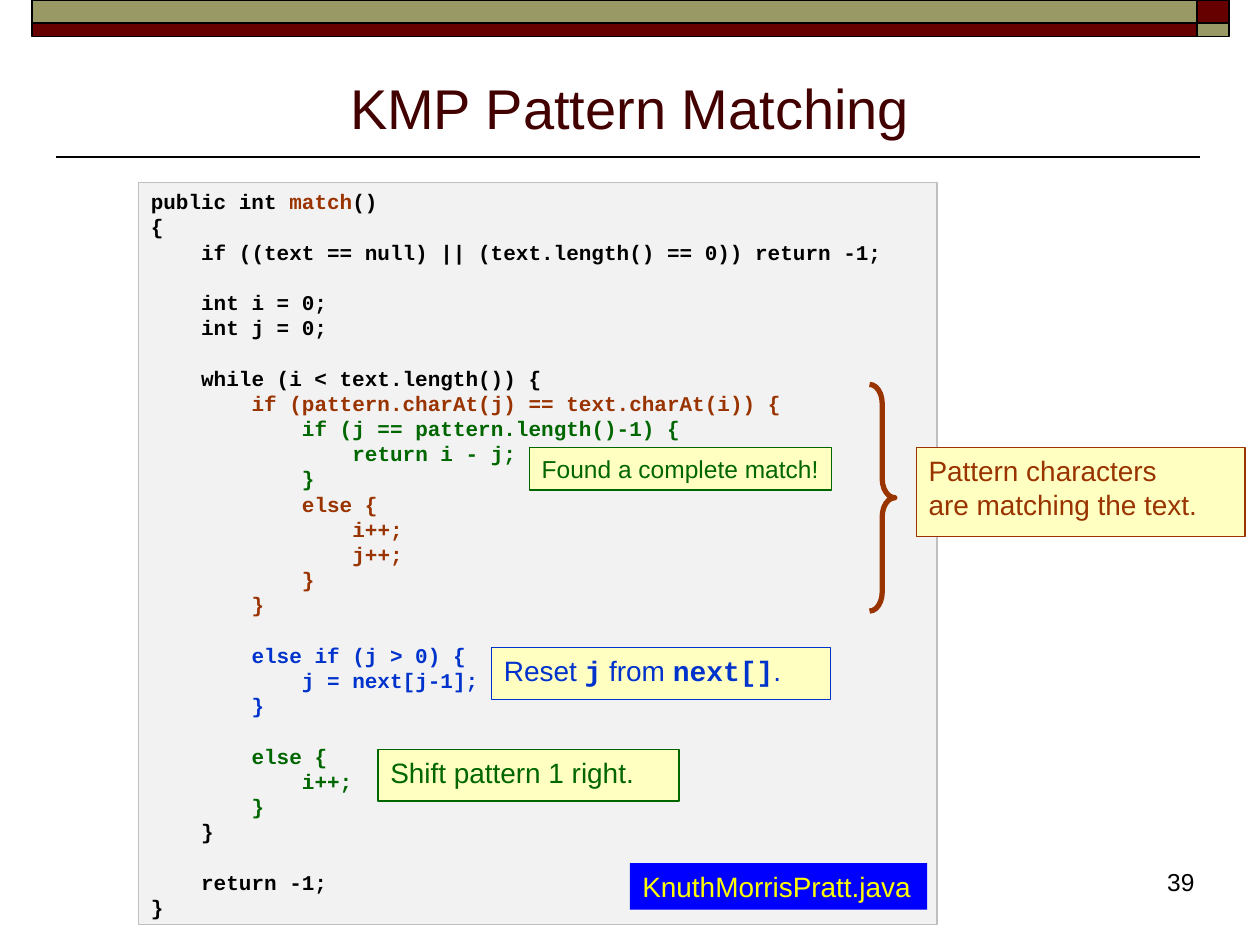
from typing import NamedTuple

from pptx import Presentation
from pptx.dml.color import RGBColor
from pptx.enum.shapes import MSO_CONNECTOR, MSO_SHAPE
from pptx.enum.text import MSO_ANCHOR, PP_ALIGN
from pptx.oxml.ns import qn
from pptx.util import Cm, Pt

COLORS = {
    "black": "000000", "maroon": "660000", "olive": "999966", "title": "420000",
    "brown": "993300", "green": "006600", "blue": "0033CC", "cream": "FFFFC2",
    "panel": "F2F2F2", "edge": "BFBFBF", "label": "0000FF", "yellow": "FFFF00",
}
SANS, MONO = "Arial", "Courier New"
CODE_LINE = Pt(14.4)
CODE_INDENT = Pt(28.8)  # four characters of 12 pt Courier New


class Span(NamedTuple):
    text: str
    color: str
    size: float = 16
    font: str = SANS
    bold: bool = False


class Place(NamedTuple):
    left: float
    top: float
    width: float
    height: float


class CodeLine(NamedTuple):
    level: int
    text: str
    color: str = "black"
    gap: bool = False


class Callout(NamedTuple):
    place: Place
    lines: list[list[Span]]
    fill: str = "cream"
    edge: str | None = None


STRIPES = [
    (Place(24.13, 0, 0.64, 0.46), "maroon"),
    (Place(0.64, 0, 23.49, 0.46), "olive"),
    (Place(0.64, 0.46, 23.49, 0.28), "maroon"),
    (Place(24.13, 0.46, 0.64, 0.28), "olive"),
]

CODE = [
    CodeLine(0, "public int |match|()"),
    CodeLine(0, "{"),
    CodeLine(1, "if ((text == null) || (text.length() == 0)) return -1;"),
    CodeLine(1, "int i = 0;", gap=True),
    CodeLine(1, "int j = 0;"),
    CodeLine(1, "while (i < text.length()) {", gap=True),
    CodeLine(2, "if (pattern.charAt(j) == text.charAt(i)) {", "brown"),
    CodeLine(3, "if (j == pattern.length()-1) {", "green"),
    CodeLine(4, "return i - j;", "green"),
    CodeLine(3, "}", "green"),
    CodeLine(3, "else {", "brown"),
    CodeLine(4, "i++;", "brown"),
    CodeLine(4, "j++;", "brown"),
    CodeLine(3, "}", "brown"),
    CodeLine(2, "}", "brown"),
    CodeLine(2, "else if (j > 0) {", "blue", gap=True),
    CodeLine(3, "j = next[j-1];", "blue"),
    CodeLine(2, "}", "blue"),
    CodeLine(2, "else {", "green", gap=True),
    CodeLine(3, "i++;", "green"),
    CodeLine(2, "}", "green"),
    CodeLine(1, "}"),
    CodeLine(1, "return -1;", gap=True),
    CodeLine(0, "}"),
]

CALLOUTS = [
    Callout(Place(18.47, 9.02, 6.63, 1.8),
            [[Span("Pattern characters", "brown")],
             [Span("are matching the text.", "brown")]], edge="brown"),
    Callout(Place(10.67, 9.02, 6.1, 0.86),
            [[Span("Found a complete match!", "green", 14)]], edge="green"),
    Callout(Place(9.91, 13.06, 6.83, 1.04),
            [[Span("Reset ", "blue"), Span("j", "blue", font=MONO, bold=True),
              Span(" from ", "blue"), Span("next[]", "blue", font=MONO, bold=True),
              Span(".", "blue")]], edge="blue"),
    Callout(Place(7.62, 15.11, 6.07, 1.04),
            [[Span("Shift pattern 1 right.", "green")]], edge="green"),
    Callout(Place(12.7, 17.4, 5.99, 0.94),
            [[Span("KnuthMorrisPratt.java", "yellow")]], fill="label"),
]


def rgb(name: str) -> RGBColor:
    return RGBColor.from_string(COLORS[name])


def lengths(place: Place) -> list[Cm]:
    return [Cm(value) for value in place]


def add_spans(para, spans: list[Span]) -> None:
    for span in spans:
        run = para.add_run()
        run.text = span.text
        formats = {"size": Pt(span.size), "name": span.font, "bold": span.bold}
        for key, value in formats.items():
            setattr(run.font, key, value)
        run.font.color.rgb = rgb(span.color)


def add_panel(page, place: Place, fill: str | None, edge: str | None,
              width: float = 0.75, kind=MSO_SHAPE.RECTANGLE):
    panel = page.shapes.add_shape(kind, *lengths(place))
    panel.shadow.inherit = False
    if fill:
        panel.fill.solid()
        panel.fill.fore_color.rgb = rgb(fill)
    else:
        panel.fill.background()
    if edge:
        panel.line.color.rgb = rgb(edge)
        panel.line.width = Pt(width)
    else:
        panel.line.fill.background()
    return panel


def add_text_panel(page, place: Place, fill: str, edge: str | None,
                   lines: list[list[Span]]):
    panel = add_panel(page, place, fill, edge)
    frame = panel.text_frame
    formats = {"word_wrap": True, "margin_right": 0, "vertical_anchor": MSO_ANCHOR.TOP}
    for key, value in formats.items():
        setattr(frame, key, value)
    for number, spans in enumerate(lines):
        para = frame.add_paragraph() if number else frame.paragraphs[0]
        para.alignment = PP_ALIGN.LEFT
        add_spans(para, spans)
    return panel


def add_header(page) -> None:
    rule = page.shapes.add_connector(
        MSO_CONNECTOR.STRAIGHT, Cm(24.2), Cm(3.17), Cm(1.12), Cm(3.17))
    rule.line.color.rgb = rgb("black")
    rule.line.width = Pt(1)
    properties = rule._element.spPr
    properties.append(properties.makeelement(qn("a:effectLst"), {}))
    for place, color in STRIPES:
        add_panel(page, place, color, "black", 1)

    title = page.shapes.title
    title_place = lengths(Place(1.27, 1.14, 22.86, 1.83))
    for key, value in zip(("left", "top", "width", "height"), title_place):
        setattr(title, key, value)
    title.text_frame.vertical_anchor = MSO_ANCHOR.BOTTOM
    title.text_frame.paragraphs[0].alignment = PP_ALIGN.CENTER
    add_spans(title.text_frame.paragraphs[0],
              [Span("KMP Pattern Matching", "title", 32)])


def code_spans(line: CodeLine) -> list[Span]:
    """Split the signature at its bars, so that the method name is brown."""
    if line.text.count("|match|") == 0:
        return [Span(line.text, line.color, 12, MONO, True)]
    parts = zip(line.text.split("|"), (line.color, "brown", line.color))
    return [Span(text, color, 12, MONO, True) for text, color in parts]


def add_code(page) -> None:
    panel = add_text_panel(page, Place(2.79, 3.68, 16.1, 14.96), "panel", "edge",
                           [code_spans(line) for line in CODE])
    for para, line in zip(panel.text_frame.paragraphs, CODE):
        para.line_spacing = CODE_LINE
        para.space_before = CODE_LINE if line.gap else Pt(0)
        para._p.get_or_add_pPr().set("marL", str(line.level * CODE_INDENT))


def main() -> None:
    deck = Presentation()
    deck.slide_width, deck.slide_height = Cm(25.4), Cm(19.05)
    page = deck.slides.add_slide(deck.slide_layouts[5])
    add_header(page)
    number = page.shapes.add_textbox(*lengths(Place(19.05, 17.35, 5.28, 1.27)))
    number.text_frame.word_wrap = True
    number.text_frame.paragraphs[0].alignment = PP_ALIGN.RIGHT
    add_spans(number.text_frame.paragraphs[0], [Span("39", "black", 14)])
    add_code(page)
    for callout in CALLOUTS:
        add_text_panel(page, callout.place, callout.fill, callout.edge, callout.lines)
    brace = add_panel(page, Place(17.53, 7.75, 0.51, 4.57), None, "brown", 3,
                      MSO_SHAPE.RIGHT_BRACE)
    brace.adjustments[0] = 0.75
    deck.save("out.pptx")


if __name__ == "__main__":
    main()
